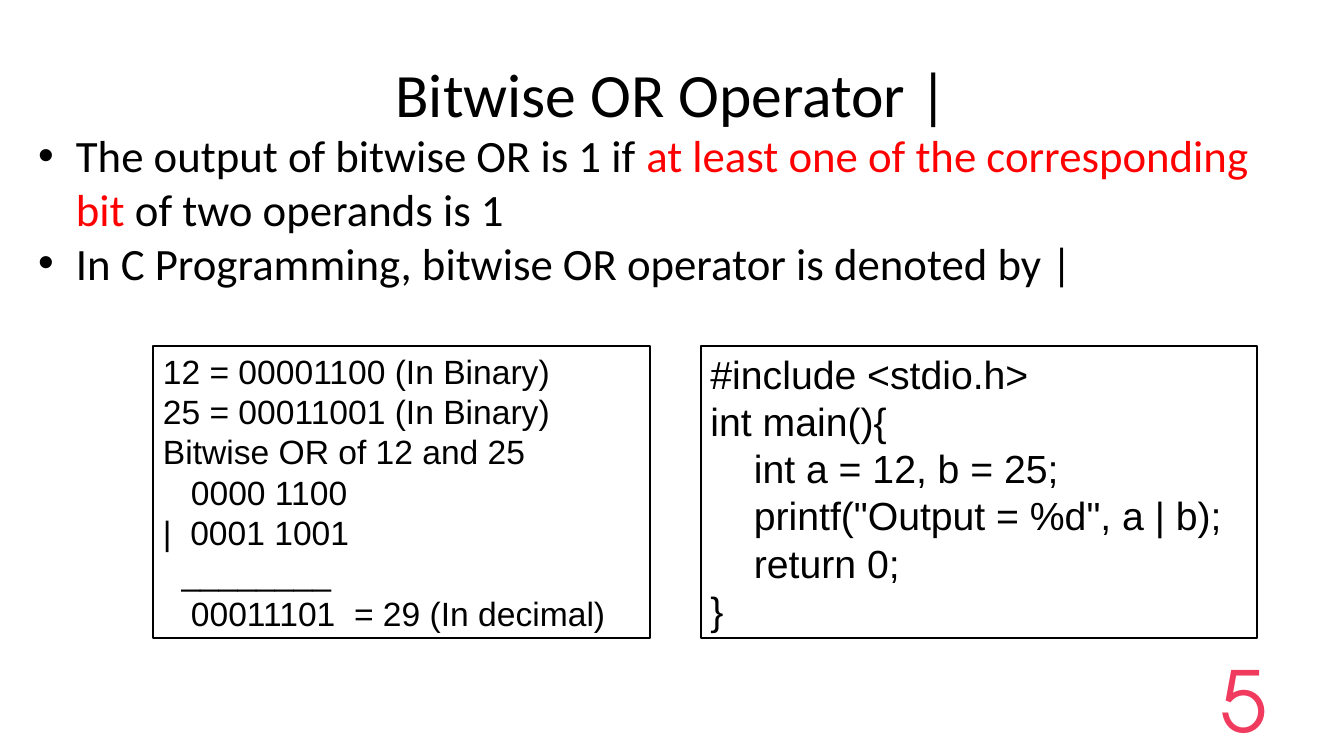
from pptx import Presentation
from pptx.dml.color import RGBColor
from pptx.enum.shapes import MSO_SHAPE as Shape
from pptx.enum.text import MSO_ANCHOR as Anchor, MSO_AUTO_SIZE as AutoSize, PP_ALIGN as Align
from pptx.util import Pt

COLORS = {"ink": "000000", "accent": "FF0000", "number": "F03B5E", "paper": "FFFFFF"}
LINE_FACTOR = 1.2

BULLETS = [
    [("The output of bitwise OR is 1 if ", "ink"),
     ("at least one of the corresponding bit", "accent"),
     (" of two operands is 1", "ink")],
    [("In C Programming, bitwise OR operator is denoted by |", "ink")],
]
WORKING = [
    ("12 = 00001100 (In Binary)", 0),
    ("25 = 00011001 (In Binary)", 0),
    ("Bitwise OR of 12 and 25", 0),
    ("0000 1100", 20),
    ("|  0001 1001", 0),
    ("________", 13.3),
    ("00011101  = 29 (In decimal)", 20),
]
PROGRAM = [
    ("#include <stdio.h>", 0),
    ("int main(){", 0),
    ("int a = 12, b = 25;", 31),
    ('printf("Output = %d", a | b);', 31),
    ("return 0;", 31),
    ("}", 0),
]


def apply(target, values):
    for name, value in values.items():
        setattr(target, name, value)


def place(shape, box):
    apply(shape, dict(zip(("left", "top", "width", "height"), map(Pt, box))))


def prepare_frame(frame, anchor):
    apply(frame, {"word_wrap": True, "auto_size": AutoSize.NONE, "vertical_anchor": anchor})


def add_span(para, text, font, size, color):
    span = para.add_run()
    span.text = text
    apply(span.font, {"name": font, "size": Pt(size)})
    span.font.color.rgb = RGBColor.from_string(COLORS[color])


def next_para(frame, index, align=Align.LEFT, spacing=None, margin=0, indent=0):
    para = frame.paragraphs[0] if index == 0 else frame.add_paragraph()
    apply(para, {"alignment": align, "space_before": Pt(0), "space_after": Pt(0)})
    if spacing:
        para.line_spacing = Pt(spacing)
    properties = para._p.get_or_add_pPr()
    properties.set("marL", str(Pt(margin)))
    properties.set("indent", str(Pt(indent)))
    return para


def fill_title(page, box):
    title = page.shapes.title
    place(title, box)
    prepare_frame(title.text_frame, Anchor.MIDDLE)
    para = next_para(title.text_frame, 0, Align.CENTER)
    add_span(para, "Bitwise OR Operator |", "Calibri", 44, "ink")


def fill_bullets(page, box, size=32):
    body = page.placeholders[1]
    place(body, box)
    prepare_frame(body.text_frame, Anchor.TOP)
    for index, parts in enumerate(BULLETS):
        para = next_para(body.text_frame, index, spacing=size * LINE_FACTOR, margin=27, indent=-27)
        for text, color in parts:
            add_span(para, text, "Calibri", size, color)


def add_listing(page, box, lines, size):
    panel = page.shapes.add_shape(Shape.RECTANGLE, *map(Pt, box))
    panel.shadow.inherit = False
    panel.fill.background()
    panel.line.color.rgb = RGBColor.from_string(COLORS["ink"])
    panel.line.width = Pt(1.5)
    prepare_frame(panel.text_frame, Anchor.TOP)
    for index, (text, margin) in enumerate(lines):
        para = next_para(panel.text_frame, index, spacing=size * LINE_FACTOR, margin=margin)
        add_span(para, text, "Arial", size, "ink")


def add_page_number(page, box, size=60):
    number = page.shapes.add_textbox(*map(Pt, box))
    prepare_frame(number.text_frame, Anchor.MIDDLE)
    apply(number.text_frame, {"margin_top": 0, "margin_bottom": 0})
    para = next_para(number.text_frame, 0, Align.RIGHT, spacing=size * LINE_FACTOR)
    add_span(para, "5", "TeX Gyre Adventor", size, "number")


def main():
    deck = Presentation()
    apply(deck, {"slide_width": Pt(960), "slide_height": Pt(540)})
    page = deck.slides.add_slide(deck.slide_layouts[1])
    page.background.fill.solid()
    page.background.fill.fore_color.rgb = RGBColor.from_string(COLORS["paper"])
    fill_title(page, (48, 21.6, 864, 90))
    fill_bullets(page, (20, 87.6, 914, 158))
    add_page_number(page, (688, 462, 224, 74))
    add_listing(page, (109.3, 247, 355, 208.8), WORKING, 24)
    add_listing(page, (500.4, 247, 397.4, 208.8), PROGRAM, 28)
    deck.save("out.pptx")


if __name__ == "__main__":
    main()
